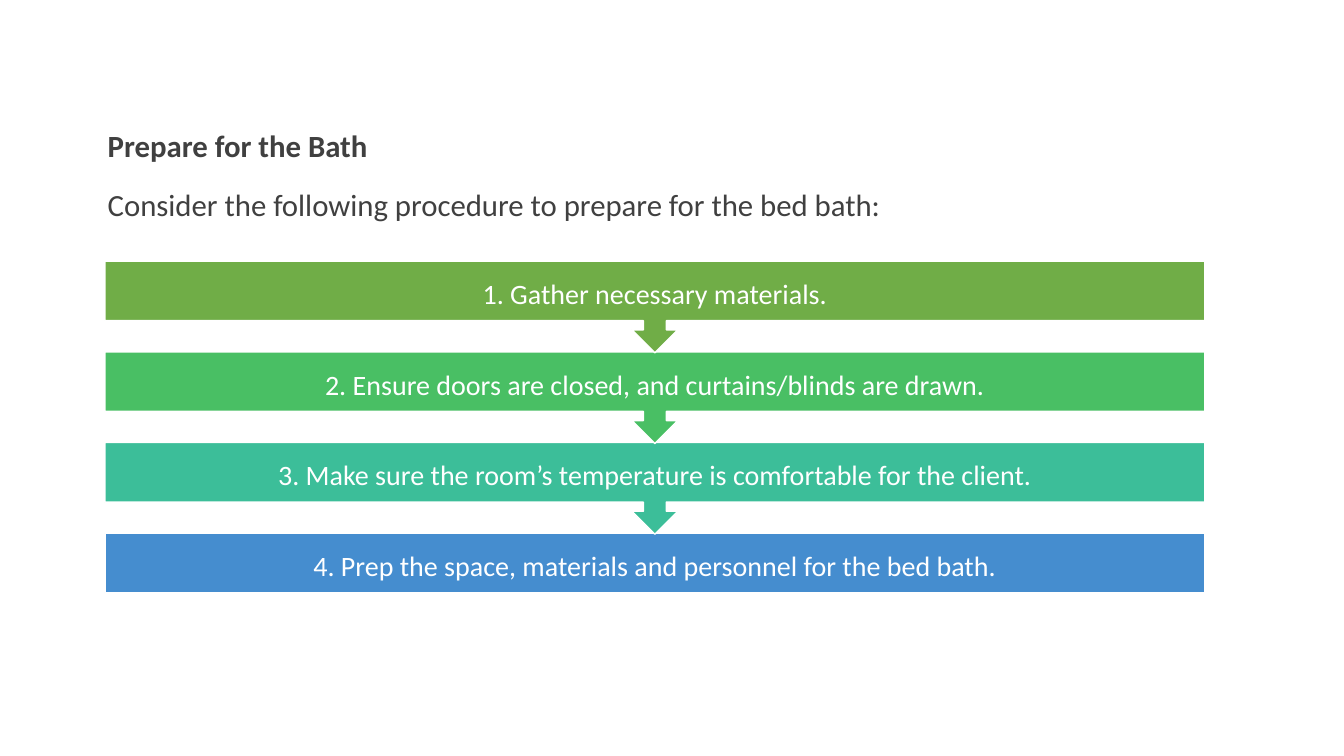
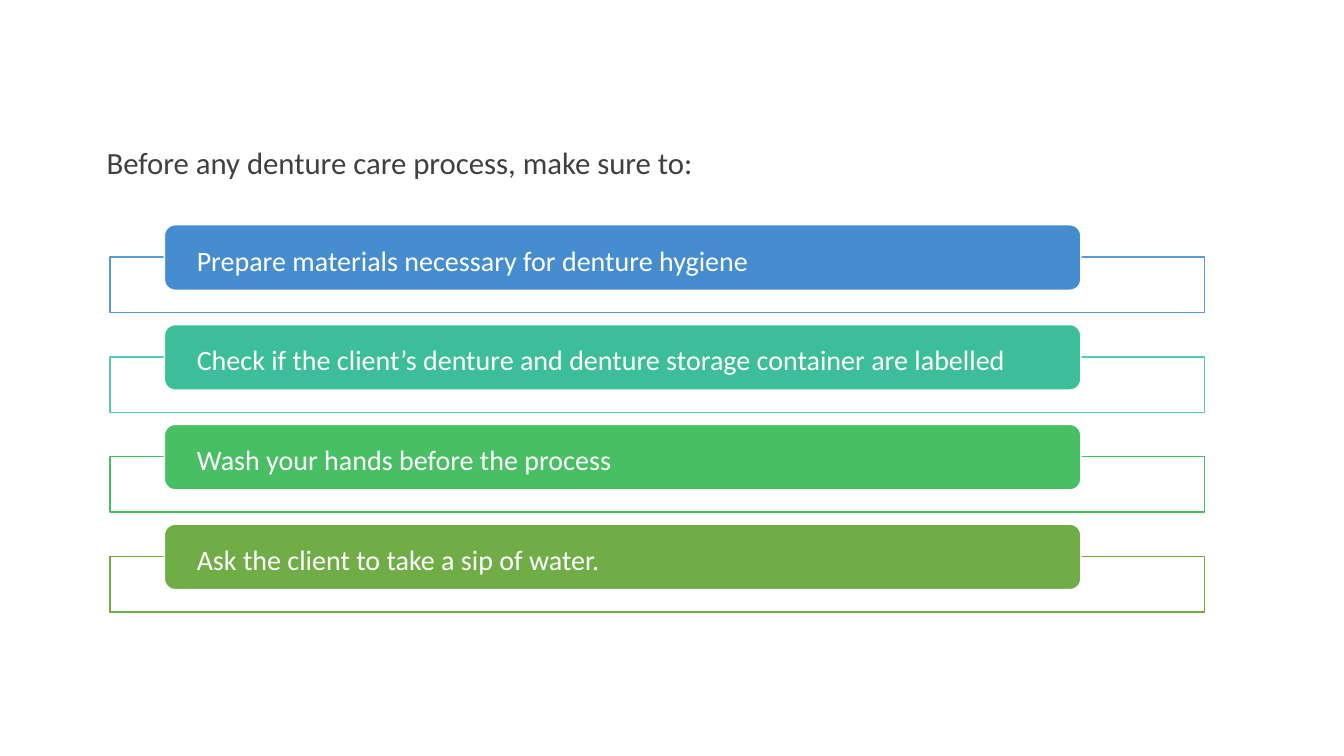
from pptx import Presentation
from pptx.dml.color import RGBColor
from pptx.enum.shapes import MSO_SHAPE
from pptx.enum.text import MSO_ANCHOR, PP_ALIGN
from pptx.util import Inches, Pt

WHITE, INK = "FFFFFF", "404040"
BLUE, TEAL, GREEN, OLIVE = "458DCF", "3CBE99", "49BF64", "70AD47"
HEAD = {"name": "Calibri", "size": Pt(22), "bold": False}
LABEL = {"name": "Calibri", "size": Pt(20)}
LINES = {"line_spacing": 1.14, "space_after": Pt(6)}

STEPS = [
    ("1. Gather necessary materials.", OLIVE),
    ("2. Ensure doors are closed, and curtains/blinds are drawn.", GREEN),
    ("3. Make sure the room’s temperature is comfortable for the client.", TEAL),
    ("4. Prep the space, materials and personnel for the bed bath.", BLUE),
]
CHECKS = [
    ("Prepare materials necessary for denture hygiene", BLUE, "5B9BD5"),
    ("Check if the client’s denture and denture storage container are labelled",
     TEAL, "52CAB8"),
    ("Wash your hands before the process", GREEN, GREEN),
    ("Ask the client to take a sip of water.", OLIVE, OLIVE),
]


def color(code):
    return RGBColor.from_string(code)


def apply(item, values):
    for key, value in values.items():
        setattr(item, key, value)


def style(para, font, code, **extra):
    apply(para, LINES | extra)
    apply(para.font, font)
    para.font.color.rgb = color(code)


def intro(slide, left, top, *texts, title=False):
    """Lead-in text; with title, its first paragraph is bold."""
    box = slide.shapes.add_textbox(*map(Inches, (left, top, 11.03, 1.1)))
    frame = box.text_frame
    frame.word_wrap = True
    for i, text in enumerate(texts):
        para = frame.paragraphs[0] if i == 0 else frame.add_paragraph()
        para.text = text
        font = HEAD | {"bold": title and i == 0}
        style(para, font, INK, space_before=Pt(6 if i else 0))


def block(slide, kind, place, fill, line=WHITE):
    shape = slide.shapes.add_shape(kind, *map(Inches, place))
    shape.shadow.inherit = False
    shape.fill.solid()
    shape.fill.fore_color.rgb = color(fill)
    shape.line.color.rgb = color(line)
    shape.line.width = Pt(1)
    return shape


def label(shape, text, align, side, edge):
    """Write text in a shape, with side and edge as its insets."""
    frame = shape.text_frame
    apply(frame, {
        "word_wrap": True, "vertical_anchor": MSO_ANCHOR.MIDDLE,
        "margin_left": Inches(side), "margin_right": Inches(side),
        "margin_top": Inches(edge), "margin_bottom": Inches(edge),
    })
    para = frame.paragraphs[0]
    para.text = text
    style(para, LABEL, WHITE, alignment=align)


def flow(slide):
    """Stack the steps from the bottom up, so each arrow lies on the next bar."""
    last = len(STEPS) - 1
    for i, (text, fill) in reversed(list(enumerate(STEPS))):
        kind, high = MSO_SHAPE.DOWN_ARROW_CALLOUT, 0.91
        if i == last:
            kind, high = MSO_SHAPE.RECTANGLE, 0.59
        bar = block(slide, kind, (1.04, 2.59 + 0.9 * i, 10.91, high), fill)
        label(bar, text, PP_ALIGN.CENTER, 0.16, 0.16)


def checks(slide):
    for i, (text, fill, line) in enumerate(CHECKS):
        top = 2.23 + 0.99 * i
        block(slide, MSO_SHAPE.RECTANGLE, (1.09, top + 0.32, 10.86, 0.55),
              WHITE, line)
        pill = block(slide, MSO_SHAPE.ROUNDED_RECTANGLE,
                     (1.63, top, 9.09, 0.65), fill)
        label(pill, text, PP_ALIGN.LEFT, 0.29, 0)


def main():
    deck = Presentation()
    deck.slide_width, deck.slide_height = Inches(13.33), Inches(7.5)
    blank = deck.slide_layouts[6]

    bath = deck.slides.add_slide(blank)
    intro(bath, 0.97, 1.16, "Prepare for the Bath",
          "Consider the following procedure to prepare for the bed bath:",
          title=True)
    flow(bath)

    denture = deck.slides.add_slide(blank)
    intro(denture, 0.96, 1.33, "Before any denture care process, make sure to:")
    checks(denture)

    deck.save("out.pptx")


if __name__ == "__main__":
    main()
